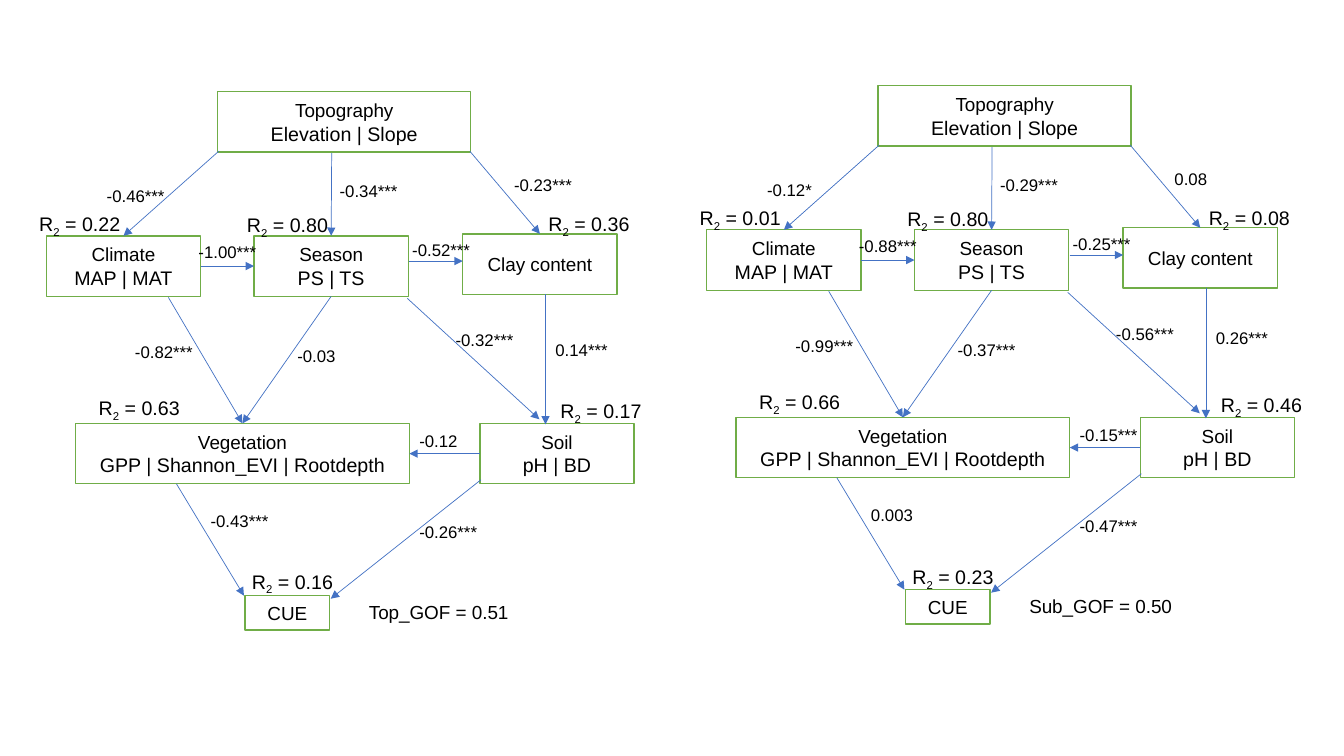
from dataclasses import dataclass
from typing import NamedTuple, Union

from lxml.etree import SubElement
from pptx import Presentation
from pptx.dml.color import RGBColor
from pptx.enum.shapes import MSO_CONNECTOR as Connector, MSO_SHAPE as Preset
from pptx.enum.text import MSO_ANCHOR as Anchor, MSO_AUTO_SIZE as AutoSize, PP_ALIGN as Align
from pptx.oxml.ns import qn
from pptx.util import Inches, Pt

GREEN, BLUE, BLACK = "70AD47", "4472C4", "000000"
TOP, LEFT, BOTTOM, RIGHT = range(4)


class Point(NamedTuple):
    x: float
    y: float


class Joint(NamedTuple):
    factor: str
    side: int


End = Union[Point, Joint]


@dataclass(frozen=True)
class Panel:
    index: int
    dx: float
    dy: float


@dataclass(frozen=True)
class Factor:
    name: str
    indicators: str
    left: float
    top: float
    width: float = 1.53
    height: float = 0.6


@dataclass(frozen=True)
class Path:
    start: End
    end: End


@dataclass(frozen=True)
class Label:
    """A value with one wording per panel; nudge lowers it in the second panel."""
    left: float
    top: float
    values: tuple[str, str]
    nudge: float = 0


PANELS = [Panel(0, 0, 0), Panel(1, 6.55, -0.06)]

FACTORS = [
    Factor("Topography", "Elevation | Slope", 2.16, 0.91, width=2.51),
    Factor("Climate", "MAP | MAT", 0.46, 2.34),
    Factor("Season", "PS | TS", 2.52, 2.34),
    Factor("Clay content", "", 4.59, 2.32),
    Factor("Vegetation", "GPP | Shannon_EVI | Rootdepth", 0.75, 4.2, width=3.31),
    Factor("Soil", "pH | BD", 4.76, 4.2),
    Factor("CUE", "", 2.43, 5.91, width=0.84, height=0.34),
]

PATHS = [
    Path(Point(2.17, 1.5), Joint("Climate", TOP)),
    Path(Point(3.29, 1.52), Joint("Season", TOP)),
    Path(Point(4.66, 1.5), Joint("Clay content", TOP)),
    Path(Joint("Climate", RIGHT), Joint("Season", LEFT)),
    Path(Point(4.06, 2.59), Point(4.59, 2.59)),
    Path(Point(1.67, 2.95), Joint("Vegetation", TOP)),
    Path(Joint("Season", BOTTOM), Joint("Vegetation", TOP)),
    Path(Point(4.04, 2.96), Point(5.35, 4.16)),
    Path(Point(5.41, 2.92), Point(5.41, 4.21)),
    Path(Joint("Soil", LEFT), Joint("Vegetation", RIGHT)),
    Path(Point(1.75, 4.8), Point(2.42, 5.91)),
    Path(Point(4.77, 4.76), Point(3.28, 5.94)),
]

COEFFICIENTS = [
    Label(0.96, 1.79, ("-0.46***", "-0.12*")),
    Label(3.27, 1.74, ("-0.34***", "-0.29***")),
    Label(5.0, 1.68, ("-0.23***", "0.08")),
    Label(1.87, 2.35, ("-1.00***", "-0.88***")),
    Label(3.99, 2.33, ("-0.52***", "-0.25***")),
    Label(1.24, 3.34, ("-0.82***", "-0.99***")),
    Label(2.85, 3.38, ("-0.03", "-0.37***")),
    Label(4.42, 3.22, ("-0.32***", "-0.56***")),
    Label(5.41, 3.32, ("0.14***", "0.26***"), nudge=-0.06),
    Label(4.06, 4.22, ("-0.12", "-0.15***")),
    Label(1.99, 5.02, ("-0.43***", "0.003")),
    Label(4.06, 5.13, ("-0.26***", "-0.47***")),
]

R_SQUARES = [
    Label(0.29, 2.05, ("0.22", "0.01")),
    Label(2.35, 2.06, ("0.80", "0.80")),
    Label(5.34, 2.05, ("0.36", "0.08")),
    Label(0.88, 3.88, ("0.63", "0.66")),
    Label(5.46, 3.91, ("0.17", "0.46")),
    Label(2.4, 5.6, ("0.16", "0.23"), nudge=0.02),
]

FIT = Label(3.56, 5.91, ("Top_GOF = 0.51", "Sub_GOF = 0.50"))


def rgb(color: str) -> RGBColor:
    return RGBColor.from_string(color)


def set_font(paragraph, size: float) -> None:
    paragraph.font.name = "Arial"
    paragraph.font.size = Pt(size)
    paragraph.font.color.rgb = rgb(BLACK)


def draw_factor(shapes, panel: Panel, factor: Factor):
    box = shapes.add_shape(
        Preset.RECTANGLE, Inches(factor.left + panel.dx), Inches(factor.top + panel.dy),
        Inches(factor.width), Inches(factor.height))
    box.shadow.inherit = False
    box.fill.background()
    box.line.color.rgb = rgb(GREEN)
    box.line.width = Pt(1)
    frame = box.text_frame
    frame.word_wrap = True
    frame.vertical_anchor = Anchor.MIDDLE
    frame.text = "\n".join(filter(None, (factor.name, factor.indicators)))
    for paragraph, size in zip(frame.paragraphs, (13.5, 14)):
        paragraph.alignment = Align.CENTER
        set_font(paragraph, size)
    return box


def draw_path(shapes, panel: Panel, path: Path, boxes: dict) -> None:
    arrow = shapes.add_connector(Connector.STRAIGHT, 0, 0, 0, 0)
    if isinstance(path.start, Joint):
        arrow.begin_connect(boxes[path.start.factor], path.start.side)
    else:
        arrow.begin_x = Inches(path.start.x + panel.dx)
        arrow.begin_y = Inches(path.start.y + panel.dy)
    if isinstance(path.end, Joint):
        arrow.end_connect(boxes[path.end.factor], path.end.side)
    else:
        arrow.end_x = Inches(path.end.x + panel.dx)
        arrow.end_y = Inches(path.end.y + panel.dy)
    arrow.line.color.rgb = rgb(BLUE)
    arrow.line.width = Pt(0.5)
    properties = arrow._element.spPr
    SubElement(properties.find(qn("a:ln")), qn("a:tailEnd"), type="triangle")
    SubElement(properties, qn("a:effectLst"))


def draw_label(shapes, panel: Panel, label: Label, size: float,
               width: float, height: float, wrap: bool = False):
    """Draw the label's box and return its still empty paragraph."""
    top = label.top + panel.dy + label.nudge * panel.index
    frame = shapes.add_textbox(
        Inches(label.left + panel.dx), Inches(top), Inches(width), Inches(height)).text_frame
    frame.word_wrap = wrap
    frame.auto_size = AutoSize.SHAPE_TO_FIT_TEXT
    paragraph = frame.paragraphs[0]
    set_font(paragraph, size)
    return paragraph


def draw_panel(slide, panel: Panel) -> None:
    shapes = slide.shapes.add_group_shape().shapes
    boxes = {factor.name: draw_factor(shapes, panel, factor) for factor in FACTORS}
    for path in PATHS:
        draw_path(shapes, panel, path, boxes)
    for label in COEFFICIENTS:
        coefficient = draw_label(shapes, panel, label, 12, 0.88, 0.3, wrap=True)
        coefficient.add_run().text = label.values[panel.index]
    for label in R_SQUARES:
        r_square = draw_label(shapes, panel, label, 14, 1.02, 0.34)
        for text in ("R", "2", f" = {label.values[panel.index]}"):
            run = r_square.add_run()
            run.text = text
            if text == "2":
                run._r.get_or_add_rPr().set("baseline", "-25000")
    fit = draw_label(shapes, panel, FIT, 13.5, 1.62, 0.33)
    fit.add_run().text = FIT.values[panel.index]


def main() -> None:
    deck = Presentation()
    deck.slide_width, deck.slide_height = Inches(13.33), Inches(7.5)
    slide = deck.slides.add_slide(deck.slide_layouts[6])
    for panel in PANELS:
        draw_panel(slide, panel)
    deck.save("out.pptx")


if __name__ == "__main__":
    main()
